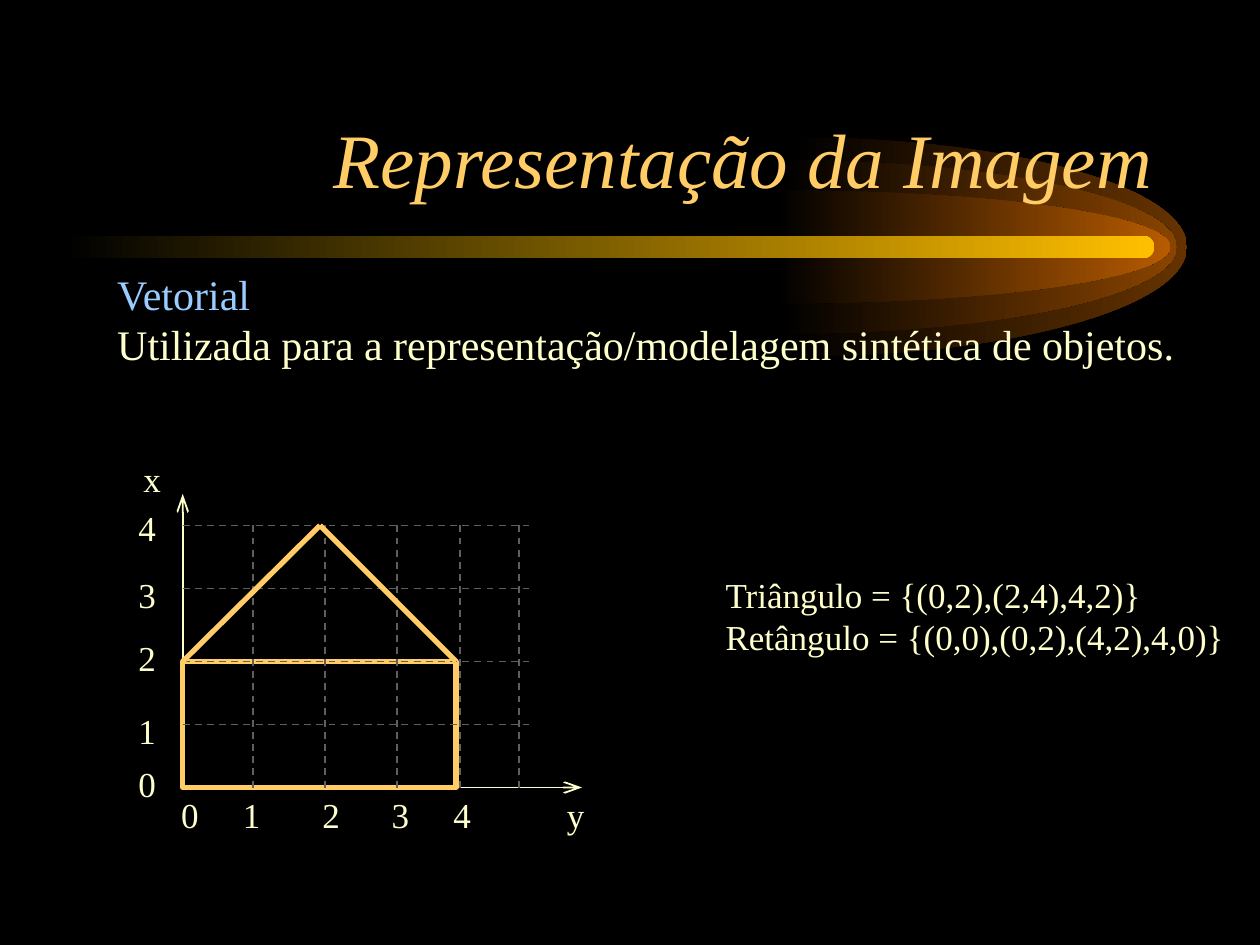
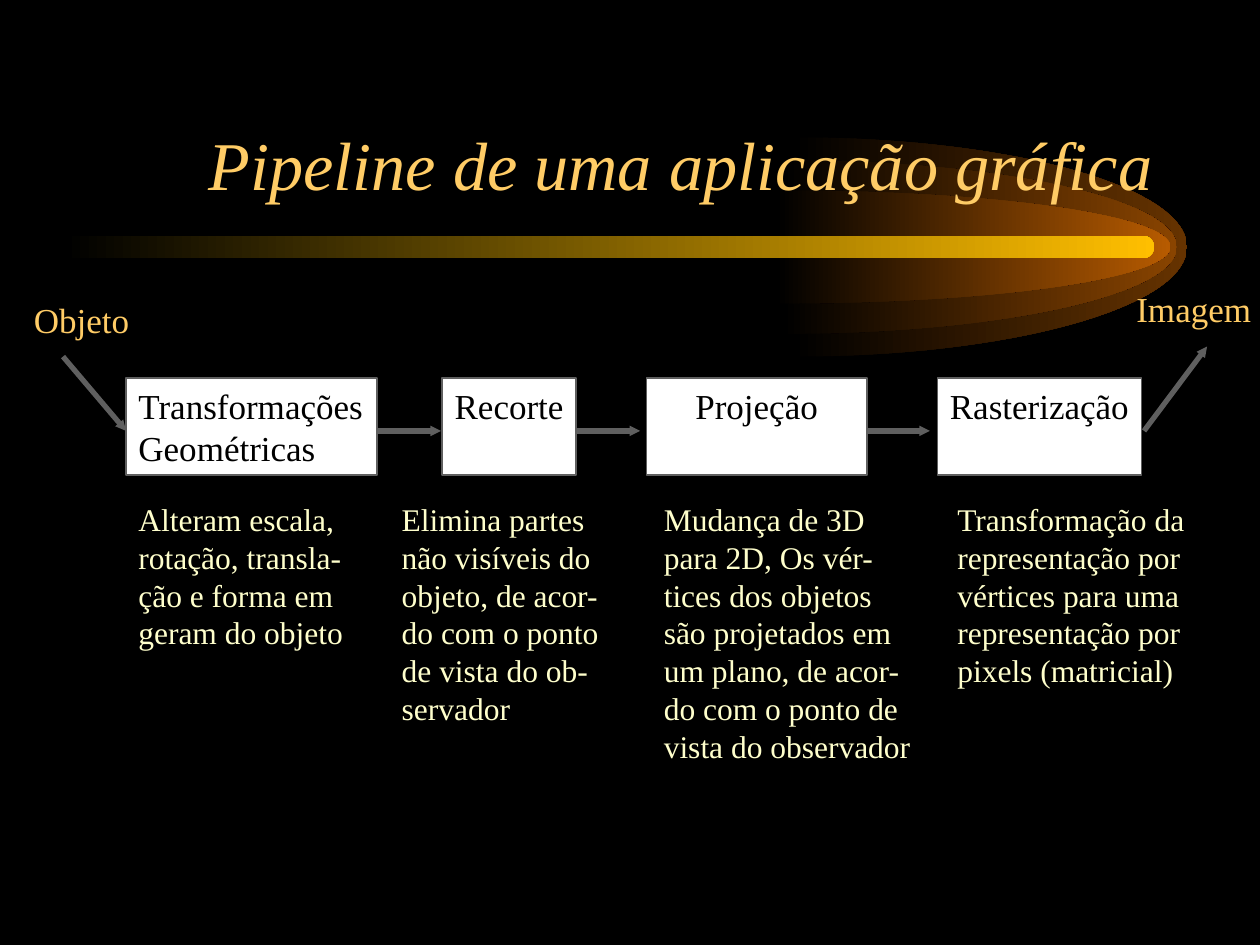
import pptx
import pptx.util
import pptx.dml.color
import pptx.enum.dml
import pptx.enum.shapes
import pptx.enum.text
import pptx.oxml
import pptx.oxml.ns

PX = 9144  # EMU per px, 100 px to the inch
FONT = "Times New Roman"
NS = pptx.oxml.ns.nsdecls("a")
RGBColor = pptx.dml.color.RGBColor
BLACK = RGBColor(0x00, 0x00, 0x00)
WHITE = RGBColor(0xFF, 0xFF, 0xFF)
GOLD = RGBColor(0xFF, 0xCC, 0x66)
CREAM = RGBColor(0xFF, 0xFF, 0xCC)
SKY = RGBColor(0x99, 0xCC, 0xFF)
GRAY = RGBColor(0x5F, 0x5F, 0x5F)
BAND = RGBColor(0xFF, 0xBF, 0x00)
COMET = [RGBColor(0x66, 0x33, 0x00), RGBColor(0x89, 0x44, 0x00), RGBColor(0xB7, 0x5B, 0x00)]

Align = pptx.enum.text.PP_ALIGN
Anchor = pptx.enum.text.MSO_ANCHOR
Shape = pptx.enum.shapes.MSO_SHAPE
STRAIGHT = pptx.enum.shapes.MSO_CONNECTOR.STRAIGHT
DASH = pptx.enum.dml.MSO_LINE.DASH
AXIS_HEAD = 'type="arrow" w="med" len="lg"'
FLOW_HEAD = 'type="triangle" w="sm" len="sm"'


def write(shape, text, size, color, align=Align.LEFT, anchor=Anchor.TOP, wrap=False):
    """Fill a shape with text, one paragraph per line, all in one style."""
    frame = shape.text_frame
    frame.text = text
    frame.word_wrap = wrap
    frame.auto_size = pptx.enum.text.MSO_AUTO_SIZE.NONE
    frame.vertical_anchor = anchor
    for paragraph in frame.paragraphs:
        paragraph.alignment = align
        paragraph.space_before = pptx.util.Pt(0)
        for run in paragraph.runs:
            run.font.name = FONT
            run.font.size = pptx.util.Pt(size)
            run.font.color.rgb = color


def add_line(slide, x1, y1, x2, y2, color, width, head=None, dash=None):
    line = slide.shapes.add_connector(STRAIGHT, x1 * PX, y1 * PX, x2 * PX, y2 * PX)
    line.line.color.rgb = color
    line.line.width = pptx.util.Pt(width)
    if dash:
        line.line.dash_style = dash
    properties = line._element.spPr
    if head:
        outline = properties.find(pptx.oxml.ns.qn("a:ln"))
        outline.append(pptx.oxml.parse_xml(f"<a:tailEnd {NS} {head}/>"))
    properties.append(pptx.oxml.parse_xml(f"<a:effectLst {NS}/>"))


prs = pptx.Presentation()
prs.slide_width = 1000 * PX
prs.slide_height = 750 * PX

# Shared look: background, title place, comet and band on the master
master = prs.slide_master
master.background.fill.solid()
master.background.fill.fore_color.rgb = BLACK
master_title = master.placeholders[0]
master_title.left, master_title.top = 75 * PX, 42 * PX
master_title.width, master_title.height = 850 * PX, 125 * PX

vector_slide = prs.slides.add_slide(prs.slide_layouts[1])
pipeline_slide = prs.slides.add_slide(prs.slide_layouts[5])

# Each comet layer is a half ellipse: two quarter curves, closed on the left
RADIUS, COMET_Y, CURVE = 313, 196, 0.55
decorations = []
for center_x, half_height, color in zip((629, 621, 616), (87, 69, 45), COMET):
    builder = vector_slide.shapes.build_freeform(center_x, COMET_Y - half_height, scale=PX)
    builder.add_line_segments(
        [(center_x + RADIUS, COMET_Y), (center_x, COMET_Y + half_height)], close=True)
    layer = builder.convert_to_shape()
    bend_x, bend_y = round(CURVE * RADIUS), round(CURVE * half_height)
    controls = (((bend_x, 0), (RADIUS, half_height - bend_y)),
                ((RADIUS, half_height + bend_y), (bend_x, 2 * half_height)))
    segments = list(layer._element.iter(pptx.oxml.ns.qn("a:lnTo")))
    for segment, handles in zip(segments, controls):
        curve = pptx.oxml.parse_xml(f"<a:cubicBezTo {NS}>" + "".join(
            f'<a:pt x="{x}" y="{y}"/>' for x, y in handles) + "</a:cubicBezTo>")
        curve.append(segment[0])
        segment.getparent().replace(segment, curve)
    decorations.append((layer, color))
band = vector_slide.shapes.add_shape(
    Shape.ROUNDED_RECTANGLE, 50 * PX, 187 * PX, 866 * PX, 18 * PX)
band.adjustments[0] = 0.5
decorations.append((band, BAND))
for decoration, color in decorations:
    decoration.shadow.inherit = False
    decoration.line.fill.background()
    decoration.fill.gradient()
    decoration.fill.gradient_angle = 0
    for position, (stop, stop_color) in enumerate(
            zip(decoration.fill.gradient_stops, (BLACK, color))):
        stop.color.rgb = stop_color
        stop.position = position
    master_title._element.addprevious(decoration._element)

for slide, heading, size in (
    (vector_slide, "Representação da Imagem", 44),
    (pipeline_slide, "Pipeline de uma aplicação gráfica", 39),
):
    title = slide.shapes.title
    write(title, heading, size, GOLD, Align.RIGHT, Anchor.BOTTOM, wrap=True)
    title.text_frame.paragraphs[0].runs[0].font.italic = True

# Slide 1: vector representation
summary = vector_slide.placeholders[1]
summary.left, summary.top, summary.width, summary.height = 83 * PX, 208 * PX, 883 * PX, 90 * PX
write(summary, "Vetorial\nUtilizada para a representação/modelagem sintética de objetos.",
      24, CREAM, Align.JUSTIFY, wrap=True)
for paragraph in summary.text_frame.paragraphs:
    layout = paragraph._p.get_or_add_pPr()
    layout.set("marL", "0")
    layout.set("indent", "0")
    layout.append(pptx.oxml.parse_xml(f"<a:buNone {NS}/>"))
summary.text_frame.paragraphs[0].runs[0].font.color.rgb = SKY

formulas = vector_slide.shapes.add_textbox(566 * PX, 450 * PX, 415 * PX, 77 * PX)
write(formulas, "Triângulo = {(0,2),(2,4),4,2)}\nRetângulo = {(0,0),(0,2),(4,2),4,0)}", 20, CREAM)

ORIGIN_X, ORIGIN_Y = 145, 625
EAVES_Y, ROOF_Y, APEX_X, HOUSE_WIDTH = 525, 417, 254, 217
add_line(vector_slide, ORIGIN_X, ORIGIN_Y, 462, ORIGIN_Y, CREAM, 1, head=AXIS_HEAD)
add_line(vector_slide, ORIGIN_X, ORIGIN_Y, ORIGIN_X, 392, CREAM, 1, head=AXIS_HEAD)

walls = vector_slide.shapes.add_shape(
    Shape.RECTANGLE, ORIGIN_X * PX, EAVES_Y * PX, HOUSE_WIDTH * PX, (ORIGIN_Y - EAVES_Y) * PX)
walls.shadow.inherit = False
walls.fill.background()
walls.line.color.rgb = GOLD
walls.line.width = pptx.util.Pt(3)

for y in (575, EAVES_Y, 467, ROOF_Y):
    add_line(vector_slide, ORIGIN_X, y, 420, y, GRAY, 1, dash=DASH)
for x in (201, 258, 315, 365, 412):
    add_line(vector_slide, x, ROOF_Y, x, ORIGIN_Y, GRAY, 1, dash=DASH)
add_line(vector_slide, ORIGIN_X, EAVES_Y, APEX_X, ROOF_Y, GOLD, 3)
add_line(vector_slide, APEX_X, ROOF_Y, ORIGIN_X + HOUSE_WIDTH, EAVES_Y, GOLD, 3)

axis_labels = vector_slide.shapes.add_textbox(134 * PX, 625 * PX, 340 * PX, 44 * PX)
write(axis_labels, "0\t1\t2\t3\t4\ty", 20, CREAM, wrap=True)
tabs = "".join(f'<a:tab pos="{x * PX}" algn="l"/>' for x in (49, 112, 167, 216, 306))
axis_labels.text_frame.paragraphs[0]._p.get_or_add_pPr().append(
    pptx.oxml.parse_xml(f"<a:tabLst {NS}>{tabs}</a:tabLst>"))

for mark, left, top in (("3", 100, 450), ("0", 100, 600), ("1", 100, 558),
                        ("2", 100, 500), ("4", 100, 397), ("x", 104, 358)):
    label = vector_slide.shapes.add_textbox(left * PX, top * PX, 34 * PX, 44 * PX)
    write(label, mark, 20, CREAM)

# Slide 2: pipeline stages, their arrows and descriptions
for name, left, width, align in (
    ("Transformações\nGeométricas", 100, 199, Align.LEFT),
    ("Recorte", 351, 106, Align.LEFT),
    ("Projeção", 513, 175, Align.CENTER),
    ("Rasterização", 744, 162, Align.LEFT),
):
    stage = pipeline_slide.shapes.add_shape(
        Shape.RECTANGLE, left * PX, 300 * PX, width * PX, 77 * PX)
    stage.shadow.inherit = False
    stage.fill.solid()
    stage.fill.fore_color.rgb = WHITE
    stage.line.color.rgb = GRAY
    stage.line.width = pptx.util.Pt(1)
    write(stage, name, 20, BLACK, align, wrap=align == Align.CENTER)

FLOW_Y, FLOW_LENGTH = 342, 50
for x, start_y, end_y in ((300, FLOW_Y, FLOW_Y), (458, FLOW_Y, FLOW_Y), (688, FLOW_Y, FLOW_Y),
                          (50, 283, FLOW_Y), (908, FLOW_Y, 275)):
    add_line(pipeline_slide, x, start_y, x + FLOW_LENGTH, end_y, GRAY, 3, head=FLOW_HEAD)

for name, left, top, width in (("Objeto", 17, 232, 96), ("Imagem", 892, 223, 111)):
    endpoint = pipeline_slide.shapes.add_textbox(left * PX, top * PX, width * PX, 77 * PX)
    write(endpoint, name, 20, GOLD)

for left, width, height, text in (
    (100, 182, 130, "Alteram escala,\nrotação, transla-\nção e forma em\ngeram do objeto"),
    (309, 176, 190, "Elimina partes\nnão visíveis do\nobjeto, de acor-\ndo com o ponto\n"
                    "de vista do ob-\nservador"),
    (517, 216, 220, "Mudança de 3D\npara 2D, Os vér-\ntices dos objetos\nsão projetados em\n"
                    "um plano, de acor-\ndo com o ponto de\nvista do observador"),
    (750, 207, 160, "Transformação da\nrepresentação por\nvértices para uma\n"
                    "representação por\npixels (matricial)"),
):
    description = pipeline_slide.shapes.add_textbox(left * PX, 392 * PX, width * PX, height * PX)
    write(description, text, 18, CREAM)

prs.save("out.pptx")
